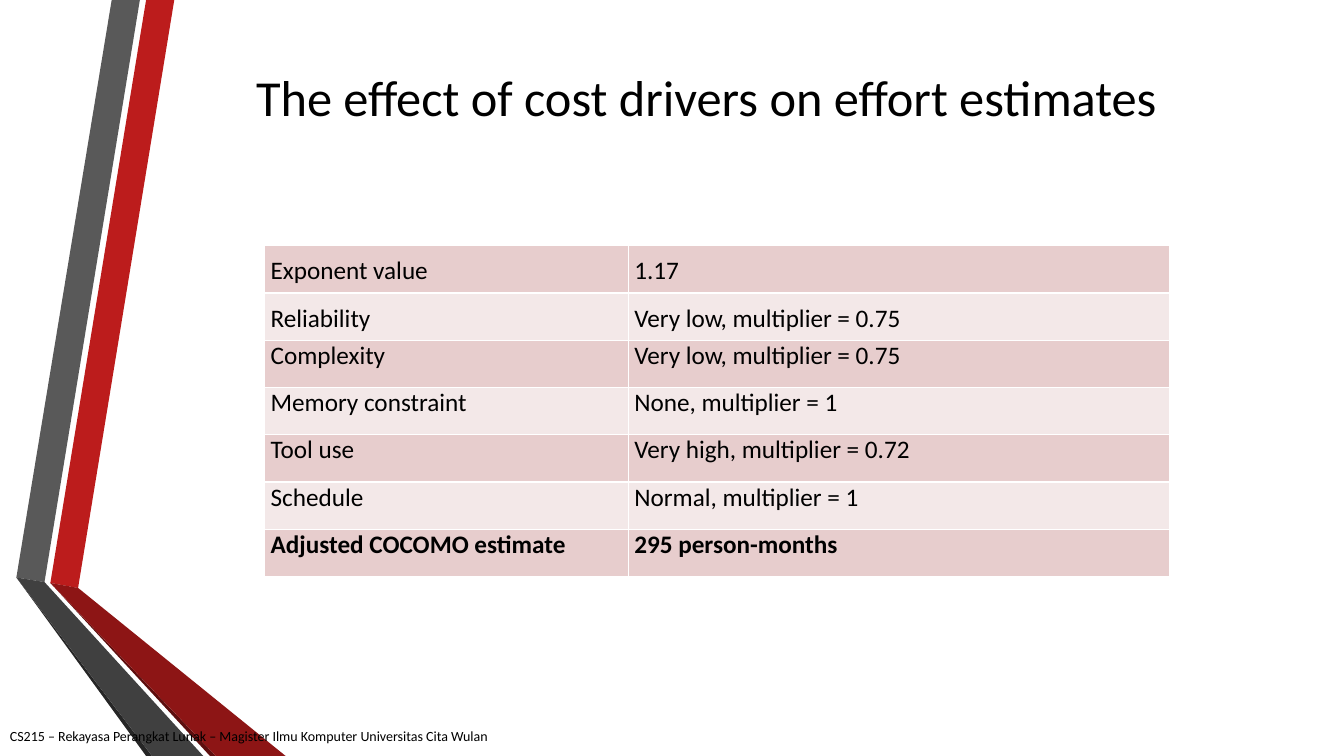
from dataclasses import dataclass

from lxml.etree import SubElement
from pptx import Presentation
from pptx.dml.color import RGBColor
from pptx.enum.text import MSO_ANCHOR, PP_ALIGN
from pptx.oxml.ns import qn
from pptx.util import Emu, Inches, Pt


@dataclass(frozen=True)
class Theme:
    font: str = "Calibri"
    text: str = "000000"
    border: str = "FFFFFF"
    bands: tuple = ("E7CDCD", "F3E8E8")
    red: str = "BC1C1C"
    red_dark: str = "8D1515"
    red_edge: str = "5E0E0E"
    gray: str = "595959"
    gray_dark: str = "404040"
    gray_edge: str = "262626"
    title_size: int = 36
    table_size: int = 18
    footer_size: int = 10


THEME = Theme()
COLUMNS, ROWS = 160, 90  # square grid, twelve units to the inch
UNIT = Inches(1) / 12


def grid(*lengths):
    return [Emu(round(length * UNIT)) for length in lengths]


def write_text(frame, text, size, bold=False, align=PP_ALIGN.LEFT, space_after=0):
    para = frame.paragraphs[0]
    para.alignment = align
    para.space_after = Pt(space_after)
    span = para.add_run()
    span.text = text
    span.font.name = THEME.font
    span.font.size = Pt(size)
    span.font.bold = bold
    span.font.color.rgb = RGBColor.from_string(THEME.text)


class SlideBuilder:
    def __init__(self, page, theme):
        self.page = page
        self.theme = theme

    def title(self, text, *place):
        box = self.page.shapes.title
        box.left, box.top, box.width, box.height = grid(*place)
        box.text_frame.vertical_anchor = MSO_ANCHOR.MIDDLE
        write_text(box.text_frame, text, self.theme.title_size, align=PP_ALIGN.CENTER)

    def label(self, text, *place):
        frame = self.page.shapes.add_textbox(*grid(*place)).text_frame
        frame.word_wrap = True
        frame.vertical_anchor = MSO_ANCHOR.MIDDLE
        write_text(frame, text, self.theme.footer_size)

    def polygon(self, color, *points):
        start, *others = [grid(*point) for point in points]
        builder = self.page.shapes.build_freeform(*start, scale=1.0)
        builder.add_line_segments(others, close=True)
        shape = builder.convert_to_shape()
        shape.shadow.inherit = False
        shape.fill.solid()
        shape.fill.fore_color.rgb = RGBColor.from_string(color)
        shape.line.fill.background()

    def table(self, records, widths, left, top, height):
        place = grid(left, top, sum(widths), height)
        table = self.page.shapes.add_table(len(records), len(widths), *place).table
        table.first_row = table.horz_banding = False
        for column, width in zip(table.columns, grid(*widths)):
            column.width = width
        last = len(records) - 1
        for row, record in enumerate(records):
            for column, text in enumerate(record):
                cell = table.cell(row, column)
                cell.margin_left = cell.margin_right = Inches(0.06)
                cell.margin_top = Inches(0.1 if row < 2 else 0)
                cell.margin_bottom = Inches(0.1 if row == last else 0)
                align = PP_ALIGN.JUSTIFY if column else PP_ALIGN.LEFT
                write_text(cell.text_frame, text, self.theme.table_size,
                           bold=row == last, align=align, space_after=3)
                self.outline(cell)
                cell.fill.solid()
                band = self.theme.bands[row % 2]
                cell.fill.fore_color.rgb = RGBColor.from_string(band)

    def outline(self, cell):
        properties = cell._tc.get_or_add_tcPr()
        for side in ("a:lnL", "a:lnR", "a:lnT", "a:lnB"):
            line = SubElement(properties, qn(side), w=str(Pt(1)))
            fill = SubElement(line, qn("a:solidFill"))
            SubElement(fill, qn("a:srgbClr"), val=self.theme.border)


def main():
    deck = Presentation()
    deck.slide_width, deck.slide_height = grid(COLUMNS, ROWS)
    page = deck.slides.add_slide(deck.slide_layouts[5])
    slide = SlideBuilder(page, THEME)

    # Folded ribbons: upper strips, thin edges, then lower strips
    red_fold, red_inner = (6, 69.4), (9.3, 70)
    gray_fold, gray_inner = (1.95, 68.75), (5.3, 69.3)
    red_foot, gray_foot = (25.7, ROWS), (18.1, ROWS)
    slide.polygon(THEME.red, red_fold, red_inner, (20.75, 0), (17.4, 0))
    slide.polygon(THEME.gray, gray_fold, gray_inner, (16.65, 0), (13.3, 0))
    slide.polygon(THEME.gray_edge, gray_fold, (17.4, ROWS), gray_foot)
    slide.polygon(THEME.red_edge, red_fold, (25, ROWS), red_foot)
    slide.polygon(THEME.red_dark, red_fold, red_foot, (34, ROWS), red_inner)
    slide.polygon(THEME.gray_dark, gray_fold, gray_foot, (24.2, ROWS), gray_inner)

    # Title
    slide.title("The effect of cost drivers on effort estimates ", 26, 4.1, 117.6, 14.75)

    # Cost drivers
    records = [
        ("Exponent value", "1.17"),
        ("Reliability", "Very low, multiplier = 0.75"),
        ("Complexity", "Very low, multiplier = 0.75"),
        ("Memory constraint", "None, multiplier = 1"),
        ("Tool use", "Very high, multiplier = 0.72"),
        ("Schedule", "Normal, multiplier = 1"),
        ("Adjusted COCOMO estimate", "295 person-months"),
    ]
    slide.table(records, widths=(43.3, 64.45), left=31.5, top=29.25, height=39.4)

    # Footer
    slide.label("CS215 – Rekayasa Perangkat Lunak – Magister Ilmu Komputer "
                "Universitas Cita Wulan", 0, 85.2, 93, 4.8)

    deck.save("out.pptx")


if __name__ == "__main__":
    main()
